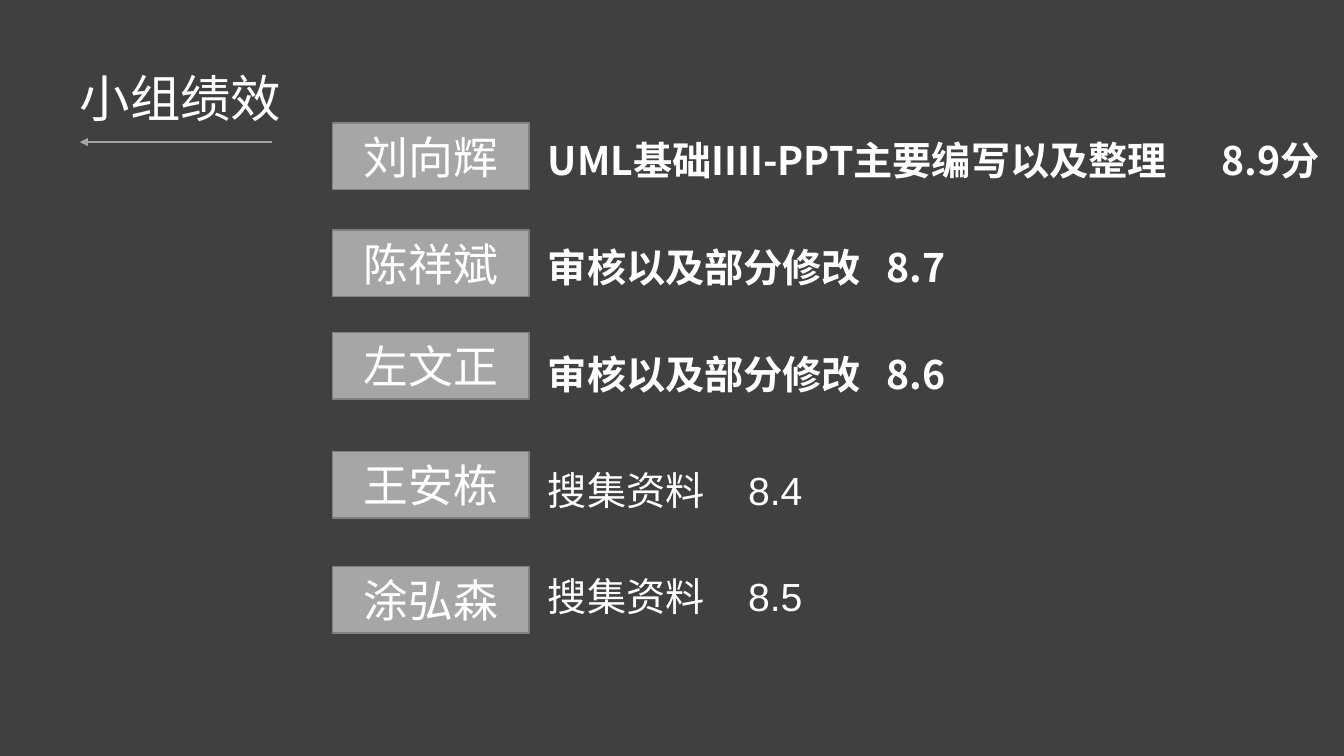
from lxml.etree import SubElement
from pptx import Presentation
from pptx.dml.color import RGBColor as RGB
from pptx.enum.shapes import MSO_CONNECTOR as CONN, MSO_SHAPE as SHAPE
from pptx.enum.text import MSO_ANCHOR as ANCHOR, MSO_AUTO_SIZE as AUTO, PP_ALIGN as ALIGN
from pptx.oxml.ns import qn
from pptx.util import Pt

TITLE = "小组绩效"
MEMBERS = [
    ("刘向辉", 87.8, "UML基础IIII-PPT主要编写以及整理", "8.9分", 30.2, 481, True),
    ("陈祥斌", 164.2, "审核以及部分修改", "8.7", 106.6, 242, True),
    ("左文正", 237.6, "审核以及部分修改", "8.6", 182.9, 242, True),
    ("王安栋", 322.6, "搜集资料", "8.4", 270, 143, False),
    ("涂弘森", 404.6, "搜集资料", "8.5", 346.3, 143, False),
]
COLORS = {"bg": "404040", "text": "FFFFFF", "arrow": "A5A5A5", "box": "A6A6A6", "edge": "808080"}
CJK, LATIN = "Noto Sans CJK SC", "Arial"
NAME_LEFT, NAME_W, NAME_H = 237.6, 140.4, 47.5
TASK_LEFT, TASK_W, TASK_H = 384.3, 573.1, 163.4


def color(key):
    return RGB.from_string(COLORS[key])


def write(sp, text, size, font=CJK, bold=False, align=ALIGN.LEFT, spacing=1.0):
    tf = sp.text_frame
    tf.word_wrap = True
    tf.auto_size = AUTO.NONE
    tf.vertical_anchor = ANCHOR.MIDDLE
    p = tf.paragraphs[0]
    p.alignment = align
    p.line_spacing = spacing
    r = p.add_run()
    r.text = text
    r.font.size = Pt(size)
    r.font.bold = bold
    r.font.name = font
    r.font.color.rgb = color("text")
    SubElement(r.font._element, qn("a:ea"), typeface=CJK)
    return p


def add_arrow(slide):
    line = slide.shapes.add_connector(CONN.STRAIGHT, Pt(194.4), Pt(101.5), Pt(56.9), Pt(101.5))
    line.line.color.rgb = color("arrow")
    line.line.width = Pt(1.5)
    SubElement(line.line._get_or_add_ln(), qn("a:tailEnd"), type="triangle")
    SubElement(line._element.spPr, qn("a:effectLst"))


def add_name(slide, name, top):
    sp = slide.shapes.add_shape(SHAPE.RECTANGLE, Pt(NAME_LEFT), Pt(top), Pt(NAME_W), Pt(NAME_H))
    sp.shadow.inherit = False
    sp.fill.solid()
    sp.fill.fore_color.rgb = color("box")
    sp.line.color.rgb = color("edge")
    sp.line.width = Pt(1)
    write(sp, name, 32, align=ALIGN.CENTER)


def add_task(slide, task, score, top, tab, bold):
    sp = slide.shapes.add_textbox(Pt(TASK_LEFT), Pt(top), Pt(TASK_W), Pt(TASK_H))
    font, spacing = (CJK, 1.15) if bold else (LATIN, 0.9)
    p = write(sp, f"{task}\t{score}", 28, font, bold, spacing=spacing)
    tabs = SubElement(p._p.get_or_add_pPr(), qn("a:tabLst"))
    SubElement(tabs, qn("a:tab"), pos=str(Pt(tab)), algn="l")


def main():
    prs = Presentation()
    prs.slide_width, prs.slide_height = Pt(960), Pt(540)
    slide = prs.slides.add_slide(prs.slide_layouts[5])
    slide.background.fill.solid()
    slide.background.fill.fore_color.rgb = color("bg")

    title = slide.shapes.title
    title.left, title.top, title.width, title.height = Pt(49.7), Pt(20.2), Pt(294.5), Pt(104.4)
    write(title, TITLE, 36, spacing=0.9)
    add_arrow(slide)

    for name, name_top, task, score, task_top, tab, bold in MEMBERS:
        add_task(slide, task, score, task_top, tab, bold)
        add_name(slide, name, name_top)

    prs.save("out.pptx")


if __name__ == "__main__":
    main()
